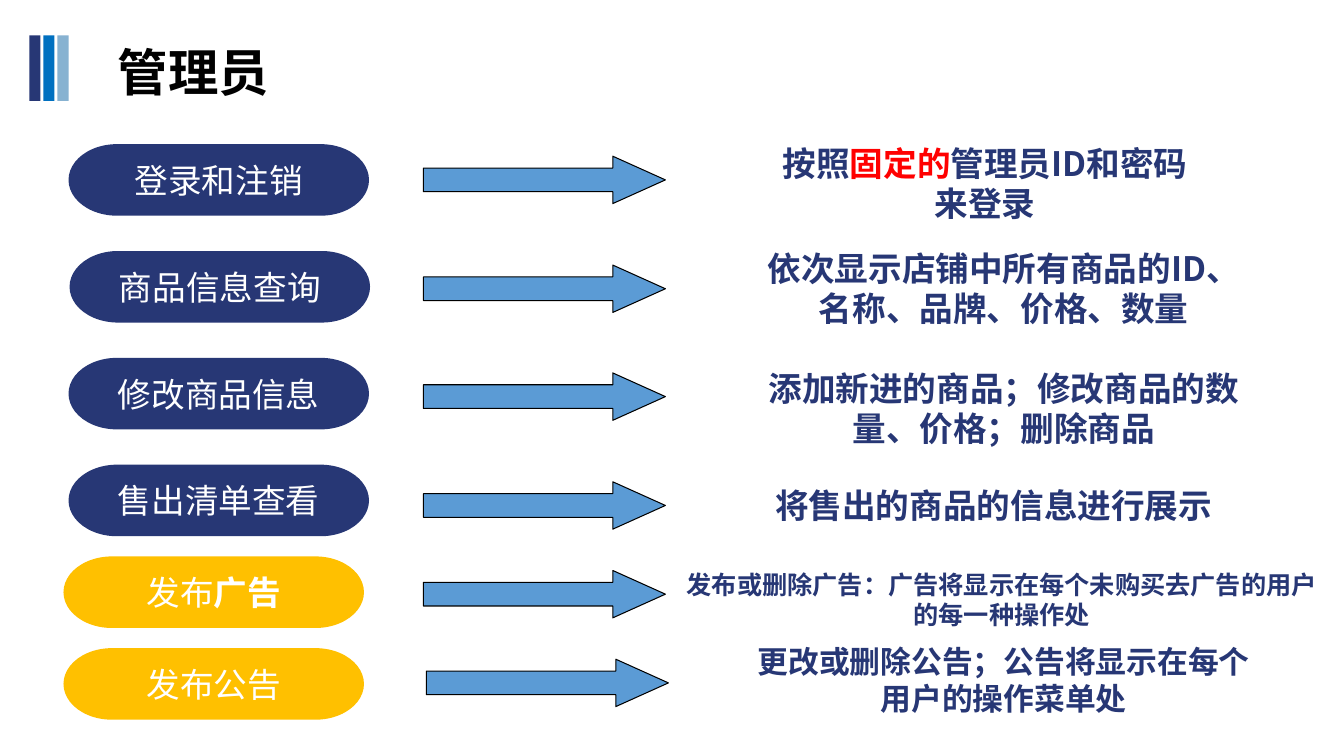
from dataclasses import dataclass

from pptx import Presentation
from pptx import util as u
from pptx.dml.color import RGBColor
from pptx.enum import shapes, text
from pptx.oxml import ns
from pptx.shapes.autoshape import Shape
from pptx.slide import Slide
from pptx.text.text import TextFrame
from lxml import etree

SCALE = 9144
KIND = shapes.MSO_SHAPE


@dataclass(frozen=True)
class Theme:
    font: str = "Noto Sans CJK SC"
    navy: str = "273775"
    blue: str = "0070C0"
    pale: str = "87B2D1"
    gold: str = "FFC000"
    arrow: str = "5B9BD5"
    red: str = "FF0000"
    black: str = "000000"
    white: str = "FFFFFF"
    head: int = 36
    body: int = 24
    mid: int = 22
    small: int = 18


THEME = Theme()


@dataclass(frozen=True)
class Box:
    left: int
    top: int
    width: int
    height: int

    def emu(self) -> list[int]:
        return [n * SCALE for n in (self.left, self.top, self.width, self.height)]


@dataclass(frozen=True)
class Run:
    words: str
    color: str = THEME.navy
    bold: bool = True


@dataclass(frozen=True)
class Row:
    label: list[Run]
    pill: tuple[int, int]
    fill: str
    arrow: tuple[int, int]
    note: list[Run]
    box: Box
    size: int = THEME.body


def plain(words: str) -> Run:
    return Run(words, THEME.white, False)


ROWS = [
    Row([plain("登录和注销")], (68, 143), THEME.navy, (420, 155),
        [Run("按照"), Run("固定的", THEME.red), Run("管理员ID和密码来登录")],
        Box(760, 137, 434, 91)),
    Row([plain("商品信息查询")], (69, 249), THEME.navy, (420, 263),
        [Run("依次显示店铺中所有商品的ID、名称、品牌、价格、数量")],
        Box(739, 241, 513, 91)),
    Row([plain("修改商品信息")], (68, 355), THEME.navy, (420, 370),
        [Run("添加新进的商品；修改商品的数量、价格；删除商品")],
        Box(739, 360, 513, 91)),
    Row([plain("售出清单查看")], (68, 461), THEME.navy, (420, 478),
        [Run("将售出的商品的信息进行展示")],
        Box(729, 476, 513, 50)),
    Row([plain("发布"), Run("广告", THEME.white)], (63, 552), THEME.gold, (420, 566),
        [Run("发布或删除广告：广告将显示在每个未购买去广告的用户的每一种操作处")],
        Box(660, 560, 667, 71), THEME.small),
    Row([plain("发布公告")], (63, 643), THEME.gold, (423, 654),
        [Run("更改或删除公告；公告将显示在每个用户的操作菜单处")],
        Box(739, 633, 513, 84), THEME.mid),
]


def paint(slide: Slide, kind: shapes.MSO_SHAPE, box: Box, fill: str) -> Shape:
    shape = slide.shapes.add_shape(kind, *box.emu())
    shape.shadow.inherit = False
    shape.fill.solid()
    shape.fill.fore_color.rgb = RGBColor.from_string(fill)
    shape.line.fill.background()
    return shape


def write(frame: TextFrame, runs: list[Run], size: int, align: text.PP_ALIGN) -> None:
    frame.word_wrap = True
    line = frame.paragraphs[0]
    line.alignment = align
    for run in runs:
        part = line.add_run()
        part.text = run.words
        font = part.font
        font.name = THEME.font
        font.size = u.Pt(size)
        font.bold = run.bold
        font.color.rgb = RGBColor.from_string(run.color)
        east = etree.SubElement(part._r.get_or_add_rPr(), ns.qn("a:ea"))
        east.set("typeface", THEME.font)


def label(slide: Slide, box: Box, runs: list[Run], size: int,
          align: text.PP_ALIGN = text.PP_ALIGN.CENTER) -> None:
    frame = slide.shapes.add_textbox(*box.emu()).text_frame
    write(frame, runs, size, align)
    frame.auto_size = text.MSO_AUTO_SIZE.SHAPE_TO_FIT_TEXT


def point(slide: Slide, left: int, top: int) -> None:
    arrow = paint(slide, KIND.RIGHT_ARROW, Box(left, top, 240, 47), THEME.arrow)
    arrow.adjustments[0] = 0.5
    arrow.adjustments[1] = 1.11
    arrow.line.color.rgb = RGBColor.from_string(THEME.black)
    arrow.line.width = u.Pt(0.75)


def draw(slide: Slide, row: Row) -> None:
    pill = paint(slide, KIND.FLOWCHART_TERMINATOR, Box(*row.pill, 298, 71), row.fill)
    pill.text_frame.vertical_anchor = text.MSO_ANCHOR.MIDDLE
    write(pill.text_frame, row.label, THEME.body, text.PP_ALIGN.CENTER)
    point(slide, *row.arrow)
    label(slide, row.box, row.note, row.size)


def main() -> None:
    deck = Presentation()
    deck.slide_width = 1333 * SCALE
    deck.slide_height = 750 * SCALE
    slide = deck.slides.add_slide(deck.slide_layouts[6])
    for i, color in enumerate((THEME.navy, THEME.blue, THEME.pale)):
        paint(slide, KIND.RECTANGLE, Box(29 + 14 * i, 35, 11, 65), color)
    label(slide, Box(107, 36, 209, 71), [Run("管理员", THEME.black)],
          THEME.head, text.PP_ALIGN.LEFT)
    for row in ROWS:
        draw(slide, row)
    deck.save("out.pptx")


if __name__ == "__main__":
    main()
